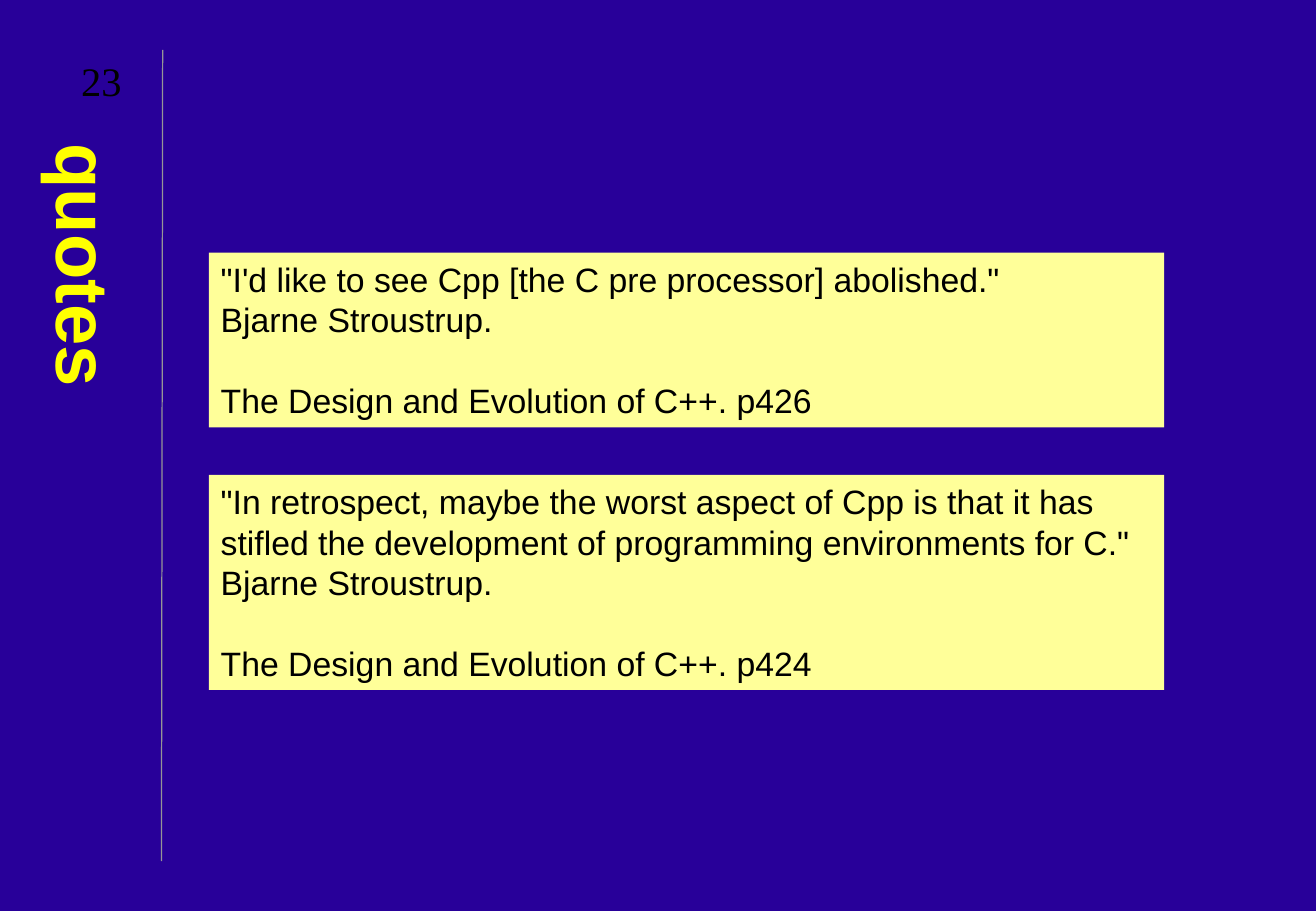
from pptx import Presentation
from pptx.dml.color import RGBColor
from pptx.enum.shapes import MSO_CONNECTOR, MSO_SHAPE
from pptx.enum.text import MSO_ANCHOR, MSO_AUTO_SIZE, PP_ALIGN
from pptx.oxml.ns import qn
from pptx.util import Pt
from lxml.etree import SubElement

PX = 9144  # EMU per px, 100 px to the inch

NAVY = RGBColor(0x28, 0x00, 0x99)
YELLOW = RGBColor(0xFF, 0xFF, 0x00)
CREAM = RGBColor(0xFF, 0xFF, 0x99)
GREY = RGBColor(0x96, 0x96, 0x96)
BLACK = RGBColor(0x00, 0x00, 0x00)

LINE_PITCH = Pt(24)
QUOTE_LEFT, QUOTE_WIDTH = 172, 787
QUOTES = [
    (208, 144,
     ["\"I'd like to see Cpp [the C pre processor] abolished.\"",
      "Bjarne Stroustrup."],
     "The Design and Evolution of C++. p426"),
    (391, 177,
     ["\"In retrospect, maybe the worst aspect of Cpp is that it has",
      "stifled the development of programming environments for C.\"",
      "Bjarne Stroustrup."],
     "The Design and Evolution of C++. p424"),
]


def emu(*lengths):
    return [n * PX for n in lengths]


def set_font(p, name, size, color, bold=False):
    p.font.name, p.font.size, p.font.bold = name, Pt(size), bold
    p.font.color.rgb = color


def set_margins(tf, x, y):
    tf.margin_left = tf.margin_right = x * PX
    tf.margin_top = tf.margin_bottom = y * PX


def add_divider(slide, x1, y1, x2, y2):
    line = slide.shapes.add_connector(MSO_CONNECTOR.STRAIGHT, *emu(x1, y1, x2, y2))
    line.line.color.rgb = GREY
    line.line.width = Pt(0.75)
    SubElement(line._element.spPr, qn("a:effectLst"))


def set_vertical_title(slide, text, x, y, w, h):
    title = slide.shapes.title
    title.left, title.top, title.width, title.height = emu(x, y, w, h)
    tf = title.text_frame
    tf.text = text
    tf.word_wrap = True
    tf.auto_size = MSO_AUTO_SIZE.NONE
    tf.vertical_anchor = MSO_ANCHOR.MIDDLE
    set_margins(tf, 5, 10)
    tf._txBody.bodyPr.set("vert", "eaVert")
    p = tf.paragraphs[0]
    p.alignment = PP_ALIGN.LEFT
    set_font(p, "Arial", 44, YELLOW, bold=True)


def add_quote(slide, lines, source, x, y, w, h):
    """Filled panel with the quotation and, one line lower, its source."""
    sp = slide.shapes.add_shape(MSO_SHAPE.RECTANGLE, *emu(x, y, w, h))
    sp.shadow.inherit = False
    sp.fill.solid()
    sp.fill.fore_color.rgb = CREAM
    sp.line.fill.background()
    tf = sp.text_frame
    tf.word_wrap = True
    tf.vertical_anchor = MSO_ANCHOR.TOP
    set_margins(tf, 10, 5)
    tf.text = "\n".join([*lines, source])
    for p in tf.paragraphs:
        p.alignment = PP_ALIGN.LEFT
        p.line_spacing = LINE_PITCH
        set_font(p, "Arial", 20, BLACK)
    tf.paragraphs[-1].space_before = LINE_PITCH


def add_page_number(slide, number, x, y, w, h):
    tf = slide.shapes.add_textbox(*emu(x, y, w, h)).text_frame
    tf.word_wrap = True
    tf.vertical_anchor = MSO_ANCHOR.MIDDLE
    set_margins(tf, 10, 5)
    p = tf.paragraphs[0]
    p.text = number
    p.alignment = PP_ALIGN.CENTER
    set_font(p, "Times New Roman", 24, BLACK)


def main():
    prs = Presentation()
    prs.slide_width, prs.slide_height = emu(1084, 750)
    slide = prs.slides.add_slide(prs.slide_layouts[5])
    slide.background.fill.solid()
    slide.background.fill.fore_color.rgb = NAVY

    add_divider(slide, 133, 709, 134, 41)
    set_vertical_title(slide, "quotes", 25, 108, 92, 600)
    for top, height, lines, source in QUOTES:
        add_quote(slide, lines, source, QUOTE_LEFT, top, QUOTE_WIDTH, height)
    add_page_number(slide, "23", 42, 41, 83, 50)
    prs.save("out.pptx")


if __name__ == "__main__":
    main()
